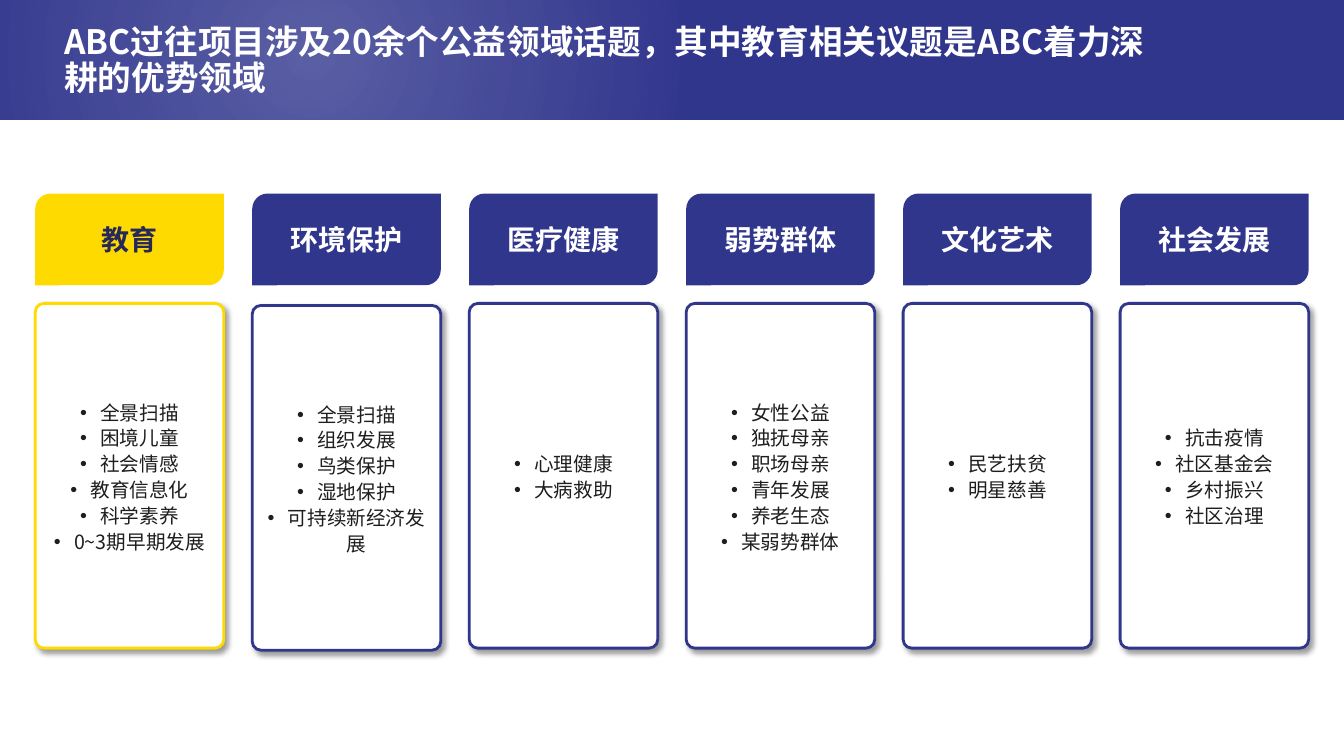
from lxml import etree
from pptx import Presentation
from pptx.dml.color import RGBColor
from pptx.enum.shapes import MSO_SHAPE
from pptx.enum.text import MSO_ANCHOR, PP_ALIGN
from pptx.oxml import parse_xml
from pptx.oxml.ns import nsdecls, qn
from pptx.util import Inches, Pt

RECTANGLE = MSO_SHAPE.RECTANGLE
TAB = MSO_SHAPE.ROUND_2_DIAG_RECTANGLE
CARD = MSO_SHAPE.ROUNDED_RECTANGLE
MIDDLE = MSO_ANCHOR.MIDDLE
LEFT, CENTER = PP_ALIGN.LEFT, PP_ALIGN.CENTER

FONT = "Noto Sans CJK SC"
BLUE, YELLOW, WHITE = "31368D", "FFDA00", "FFFFFF"
NAVY, INK, BLACK = "262859", "1E1E1E", "000000"

TITLE = "ABC过往项目涉及20余个公益领域话题，其中教育相关议题是ABC着力深耕的优势领域"
FIELDS = [
    ("教育", ["全景扫描", "困境儿童", "社会情感", "教育信息化", "科学素养", "0~3期早期发展"]),
    ("环境保护", ["全景扫描", "组织发展", "鸟类保护", "湿地保护", "可持续新经济发展"]),
    ("医疗健康", ["心理健康", "大病救助"]),
    ("弱势群体", ["女性公益", "独抚母亲", "职场母亲", "青年发展", "养老生态", "某弱势群体"]),
    ("文化艺术", ["民艺扶贫", "明星慈善"]),
    ("社会发展", ["抗击疫情", "社区基金会", "乡村振兴", "社区治理"]),
]
HIGHLIGHT = "教育"
CARD_DROP = {"环境保护": 0.02}

SLIDE_WIDTH, SLIDE_HEIGHT = 13.33, 7.5
MARGIN, COLUMN_WIDTH = 0.35, 1.87
COLUMN_STEP = (SLIDE_WIDTH - 2 * MARGIN - COLUMN_WIDTH) / (len(FIELDS) - 1)
TAB_TOP, TAB_HEIGHT = 1.92, 0.91
CARD_TOP, CARD_HEIGHT = 3.01, 3.42
BULLET_INDENT = 0.2


def color(value):
    return RGBColor.from_string(value)


def add_block(slide, kind, box, fill):
    shape = slide.shapes.add_shape(kind, *map(Inches, box))
    shape.shadow.inherit = False
    shape.fill.solid()
    shape.fill.fore_color.rgb = color(fill)
    shape.line.fill.background()
    return shape


def add_glow(slide, box):
    shape = add_block(slide, RECTANGLE, box, WHITE)
    gradient = parse_xml(
        f'<a:gradFill {nsdecls("a")} rotWithShape="1"><a:gsLst>'
        f'<a:gs pos="0"><a:srgbClr val="{WHITE}"><a:alpha val="20000"/></a:srgbClr></a:gs>'
        f'<a:gs pos="66000"><a:srgbClr val="{WHITE}"><a:alpha val="0"/></a:srgbClr></a:gs>'
        '</a:gsLst><a:path path="circle">'
        '<a:fillToRect l="50000" t="50000" r="50000" b="50000"/></a:path></a:gradFill>'
    )
    properties = shape.element.spPr
    properties.replace(properties.find(qn("a:solidFill")), gradient)


def add_shadow(shape):
    effects = shape.element.spPr.find(qn("a:effectLst"))
    effects.append(parse_xml(
        f'<a:outerShdw {nsdecls("a")} blurRad="{Pt(4)}" dist="{Pt(3)}" dir="2700000" '
        f'algn="tl" rotWithShape="0"><a:srgbClr val="{BLACK}">'
        '<a:alpha val="40000"/></a:srgbClr></a:outerShdw>'
    ))


def add_bullet(paragraph):
    properties = paragraph._p.get_or_add_pPr()
    properties.set("marL", str(Inches(BULLET_INDENT)))
    properties.set("indent", str(-Inches(BULLET_INDENT)))
    etree.SubElement(properties, qn("a:buFont")).set("typeface", "Arial")
    etree.SubElement(properties, qn("a:buChar")).set("char", "•")


def write(shape, lines, size, ink, bold=False, align=CENTER, spacing=1.0, bullets=False):
    frame = shape.text_frame
    frame.word_wrap = True
    frame.vertical_anchor = MIDDLE
    for index, line in enumerate(lines):
        paragraph = frame.add_paragraph() if index else frame.paragraphs[0]
        if bullets:
            add_bullet(paragraph)
        paragraph.alignment = align
        paragraph.line_spacing = spacing
        run = paragraph.add_run()
        run.text = line
        run.font.size = Pt(size)
        run.font.bold = bold
        run.font.name = FONT
        run.font.color.rgb = color(ink)
        etree.SubElement(run.font._element, qn("a:ea")).set("typeface", FONT)


def add_field(slide, column, name, topics):
    left = MARGIN + column * COLUMN_STEP
    accent, ink = (YELLOW, NAVY) if name == HIGHLIGHT else (BLUE, WHITE)
    tab = add_block(slide, TAB, (left, TAB_TOP, COLUMN_WIDTH, TAB_HEIGHT), accent)
    write(tab, [name], 20, ink, bold=True)
    top = CARD_TOP + CARD_DROP.get(name, 0)
    card = add_block(slide, CARD, (left, top, COLUMN_WIDTH, CARD_HEIGHT), WHITE)
    card.adjustments[0] = 0.046
    card.line.color.rgb = color(accent)
    card.line.width = Pt(2)
    add_shadow(card)
    write(card, topics, 14, INK, spacing=1.1, bullets=True)


def main():
    """Build the slide of project fields and save it."""
    presentation = Presentation()
    presentation.slide_width = Inches(SLIDE_WIDTH)
    presentation.slide_height = Inches(SLIDE_HEIGHT)
    slide = presentation.slides.add_slide(presentation.slide_layouts[6])
    add_block(slide, RECTANGLE, (0, 0, SLIDE_WIDTH, 1.19), BLUE)
    add_glow(slide, (-2.47, -0.17, 11.1, 1.44))
    title = slide.shapes.add_textbox(*map(Inches, (0.54, 0.2, 11.23, 0.83)))
    write(title, [TITLE], 24, WHITE, bold=True, align=LEFT, spacing=0.9)
    for column, (name, topics) in enumerate(FIELDS):
        add_field(slide, column, name, topics)
    presentation.save("out.pptx")


if __name__ == "__main__":
    main()
